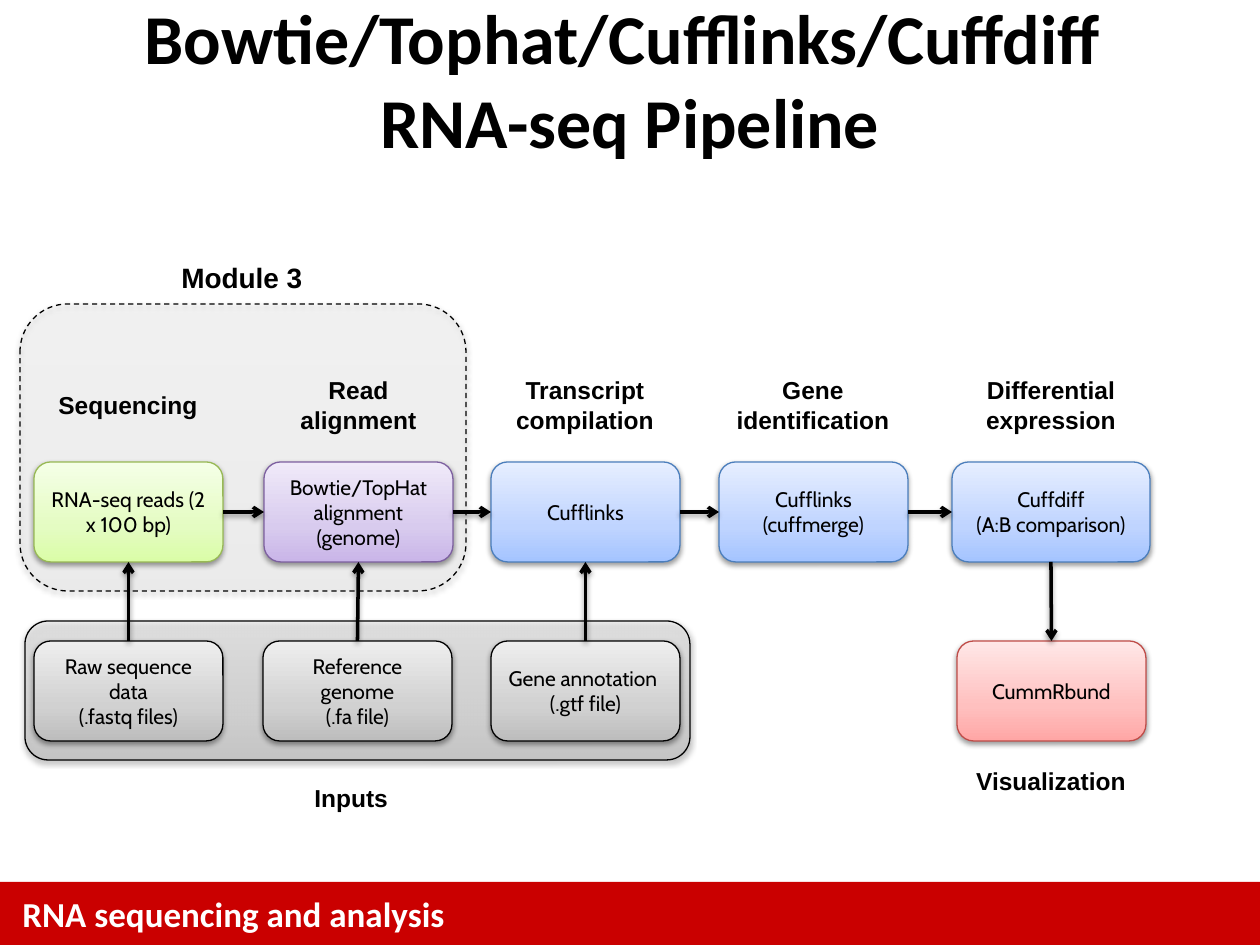
from dataclasses import dataclass
from typing import Optional

from pptx import Presentation
from pptx.dml.color import RGBColor
from pptx.enum.dml import MSO_LINE_DASH_STYLE as Dash
from pptx.enum.shapes import MSO_CONNECTOR, MSO_SHAPE as Preset
from pptx.enum.text import MSO_ANCHOR as Anchor, MSO_AUTO_SIZE as AutoSize, PP_ALIGN as Align
from pptx.oxml import parse_xml
from pptx.oxml.ns import nsdecls, qn
from pptx.util import Emu, Pt

EMU_PER_PX = 914400 / 126
TOP, LEFT, BOTTOM, RIGHT = range(4)
BLACK, WHITE, RED = "000000", "FFFFFF", "CA0000"
STEP_Y, INPUT_Y, BOX_W, BOX_H = 462, 641, 189, 100
HEADING_Y, HEADING_W = 369, 228


@dataclass(frozen=True)
class Palette:
    stops: tuple[str, str, str]
    outline: str


@dataclass(frozen=True)
class Box:
    x: int
    y: int
    lines: tuple[str, ...]
    palette: Palette
    w: int = BOX_W


@dataclass(frozen=True)
class Span:
    text: str
    size: int
    font: str = "Arial"
    color: str = BLACK
    bold: bool = True


@dataclass(frozen=True)
class Heading:
    text: str
    center: int
    y: int = HEADING_Y
    w: int = HEADING_W
    h: int = 72
    size: int = 14
    wrap: bool = True


GREEN = Palette(("DAFDA7", "E4FCC2", "F5FFE7"), "98B955")
PURPLE = Palette(("C9B5E8", "D8CBEE", "F0EAF9"), "7D60A0")
BLUE = Palette(("A4C4FF", "BFD4FF", "E6EEFF"), "4B7EBC")
PINK = Palette(("FFA6A5", "FFC0BF", "FFE7E7"), "BF4C48")
GRAY = Palette(("BDBDBD", "D1D1D1", "EEEEEE"), BLACK)

STEPS = (
    Box(34, STEP_Y, ("RNA-seq reads (2 x 100 bp)",), GREEN),
    Box(264, STEP_Y, ("Bowtie/TopHat alignment (genome)",), PURPLE),
    Box(491, STEP_Y, ("Cufflinks",), BLUE),
    Box(719, STEP_Y, ("Cufflinks (cuffmerge)",), BLUE),
    Box(952, STEP_Y, ("Cuffdiff", "(A:B comparison)"), BLUE, 198),
)
INPUTS = (
    Box(34, INPUT_Y, ("Raw sequence data", "(.fastq files)"), GRAY),
    Box(263, INPUT_Y, ("Reference genome", "(.fa file)"), GRAY),
    Box(491, INPUT_Y, ("Gene annotation ", "(.gtf file)"), GRAY),
)
VISUALIZATION = Box(957, INPUT_Y, ("CummRbund",), PINK)

HEADINGS = (
    Heading("Module 3", 242, 254, 147, 47, 16, wrap=False),
    Heading("Sequencing", 128, 384, 165, 43, wrap=False),
    Heading("Read alignment", 358, w=171),
    Heading("Transcript compilation", 585),
    Heading("Gene identification", 813),
    Heading("Differential expression", 1051),
    Heading("Visualization", 1051, 760, h=43),
    Heading("Inputs", 352, 777, 100, 43, wrap=False),
)


def px(length: int) -> Emu:
    return Emu(round(length * EMU_PER_PX))


def rgb(color: str) -> RGBColor:
    return RGBColor.from_string(color)


def add_span(paragraph, span: Span) -> None:
    run = paragraph.add_run()
    run.text = span.text
    font = run.font
    font.name, font.size, font.bold = span.font, Pt(span.size), span.bold
    font.color.rgb = rgb(span.color)


def add_shadow(properties) -> None:
    effects = properties.find(qn("a:effectLst"))
    if effects is None:
        effects = parse_xml(f'<a:effectLst {nsdecls("a")}/>')
        properties.append(effects)
    effects.append(parse_xml(
        f'<a:outerShdw {nsdecls("a")} blurRad="{Pt(3.1)}" dist="{Pt(1.6)}" dir="5400000" '
        f'rotWithShape="0"><a:srgbClr val="{BLACK}"><a:alpha val="38000"/></a:srgbClr></a:outerShdw>'))


def add_rounded(x: int, y: int, w: int, h: int, palette: Palette,
                opacity: int = 100, dash: Optional[Dash] = None):
    shape = slide.shapes.add_shape(Preset.ROUNDED_RECTANGLE, px(x), px(y), px(w), px(h))
    shape.shadow.inherit = False
    shape.line.color.rgb = rgb(palette.outline)
    shape.line.width = Pt(0.75)
    if dash is not None:
        shape.line.dash_style = dash
    # Three-stop gradient, darkest at the bottom
    stops = "".join(
        f'<a:gs pos="{position}000"><a:srgbClr val="{color}">'
        f'<a:alpha val="{opacity}000"/></a:srgbClr></a:gs>'
        for position, color in zip((0, 35, 100), palette.stops))
    properties = shape.element.spPr
    properties.find(qn("a:ln")).addprevious(parse_xml(
        f'<a:gradFill {nsdecls("a")} rotWithShape="1"><a:gsLst>{stops}</a:gsLst>'
        '<a:lin ang="16200000" scaled="0"/></a:gradFill>'))
    add_shadow(properties)
    return shape


def add_box(box: Box):
    shape = add_rounded(box.x, box.y, box.w, BOX_H, box.palette)
    frame = shape.text_frame
    frame.word_wrap = True
    frame.vertical_anchor = Anchor.MIDDLE
    for index, line in enumerate(box.lines):
        paragraph = frame.add_paragraph() if index else frame.paragraphs[0]
        paragraph.alignment = Align.CENTER
        add_span(paragraph, Span(line, 12, "Cabin", bold=False))
    return shape


def add_label(x: int, y: int, w: int, h: int, span: Span,
              align: Align = Align.LEFT, wrap: bool = True) -> None:
    frame = slide.shapes.add_textbox(px(x), px(y), px(w), px(h)).text_frame
    frame.word_wrap = wrap
    frame.auto_size = AutoSize.SHAPE_TO_FIT_TEXT
    paragraph = frame.paragraphs[0]
    paragraph.alignment = align
    add_span(paragraph, span)


def add_arrow(source, source_side: int, target, target_side: int) -> None:
    arrow = slide.shapes.add_connector(MSO_CONNECTOR.STRAIGHT, 0, 0, 0, 0)
    arrow.begin_connect(source, source_side)
    arrow.end_connect(target, target_side)
    arrow.line.color.rgb = rgb(BLACK)
    arrow.line.width = Pt(2)
    properties = arrow.element.spPr
    properties.find(qn("a:ln")).append(parse_xml(f'<a:tailEnd {nsdecls("a")} type="arrow"/>'))
    add_shadow(properties)


deck = Presentation()
deck.slide_width, deck.slide_height = px(1260), px(945)
slide = deck.slides.add_slide(deck.slide_layouts[6])

# Footer
footer = slide.shapes.add_shape(Preset.RECTANGLE, px(0), px(882), px(1260), px(63))
footer.shadow.inherit = False
footer.fill.solid()
footer.fill.fore_color.rgb = rgb(RED)
footer.line.fill.background()
add_label(10, 886, 924, 55, Span("RNA sequencing and analysis", 20, "Calibri", WHITE))

# Group panels
add_rounded(20, 304, 446, 287, GRAY, opacity=13, dash=Dash.DASH)
add_rounded(25, 621, 665, 139, GRAY, opacity=51)

# Title
title = slide.shapes.add_textbox(px(21), px(0), px(1218), px(157)).text_frame
title.word_wrap = True
title.vertical_anchor = Anchor.MIDDLE
title_line = title.paragraphs[0]
title_line.alignment = Align.CENTER
add_span(title_line, Span("Bowtie/Tophat/Cufflinks/Cuffdiff ", 40, "Calibri"))
title_line.add_line_break()
add_span(title_line, Span("RNA-seq Pipeline", 40, "Calibri"))

# Pipeline boxes
steps = [add_box(step) for step in STEPS]
inputs = [add_box(source) for source in INPUTS]
visualization = add_box(VISUALIZATION)

# Flow arrows
for step, following in zip(steps, steps[1:]):
    add_arrow(step, RIGHT, following, LEFT)
for source, step in zip(inputs, steps):
    add_arrow(source, TOP, step, BOTTOM)
add_arrow(steps[-1], BOTTOM, visualization, TOP)

# Headings
for heading in HEADINGS:
    add_label(heading.center - heading.w // 2, heading.y, heading.w, heading.h,
              Span(heading.text, heading.size),
              Align.CENTER if heading.wrap else Align.LEFT, heading.wrap)

deck.save("out.pptx")
